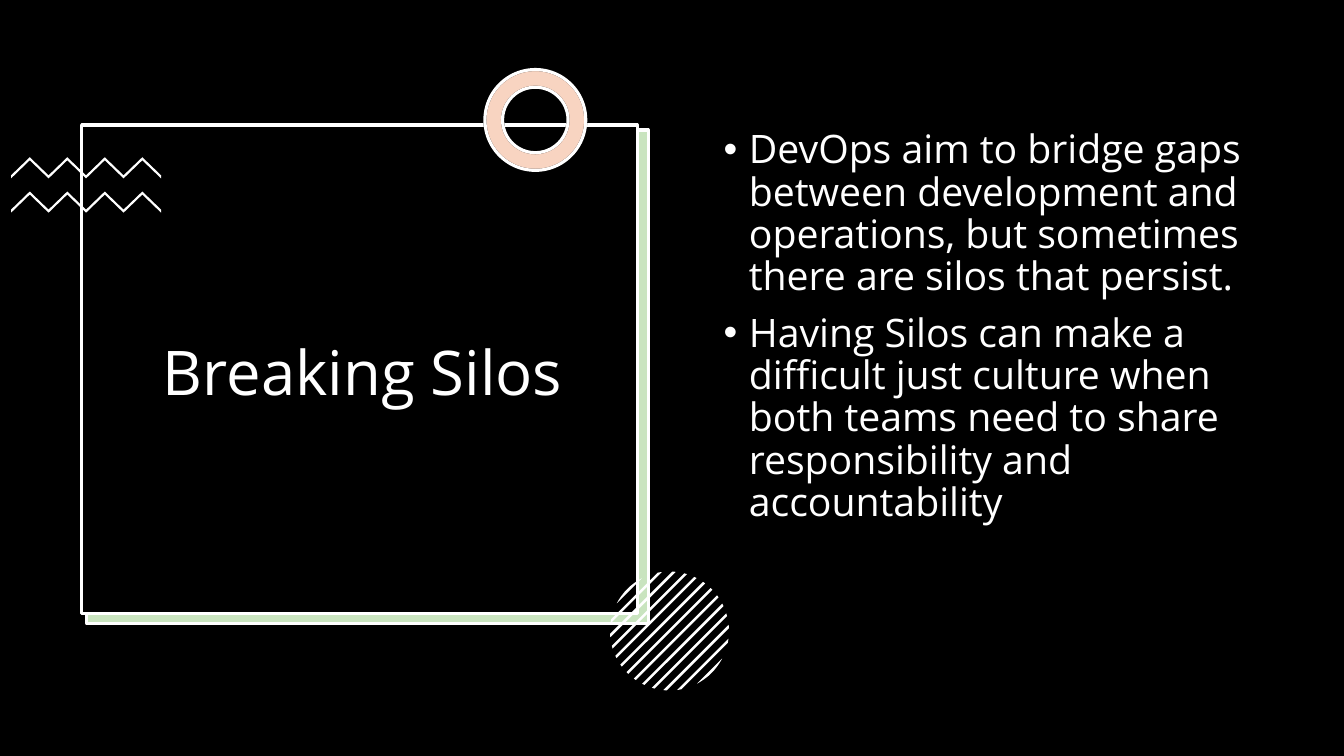
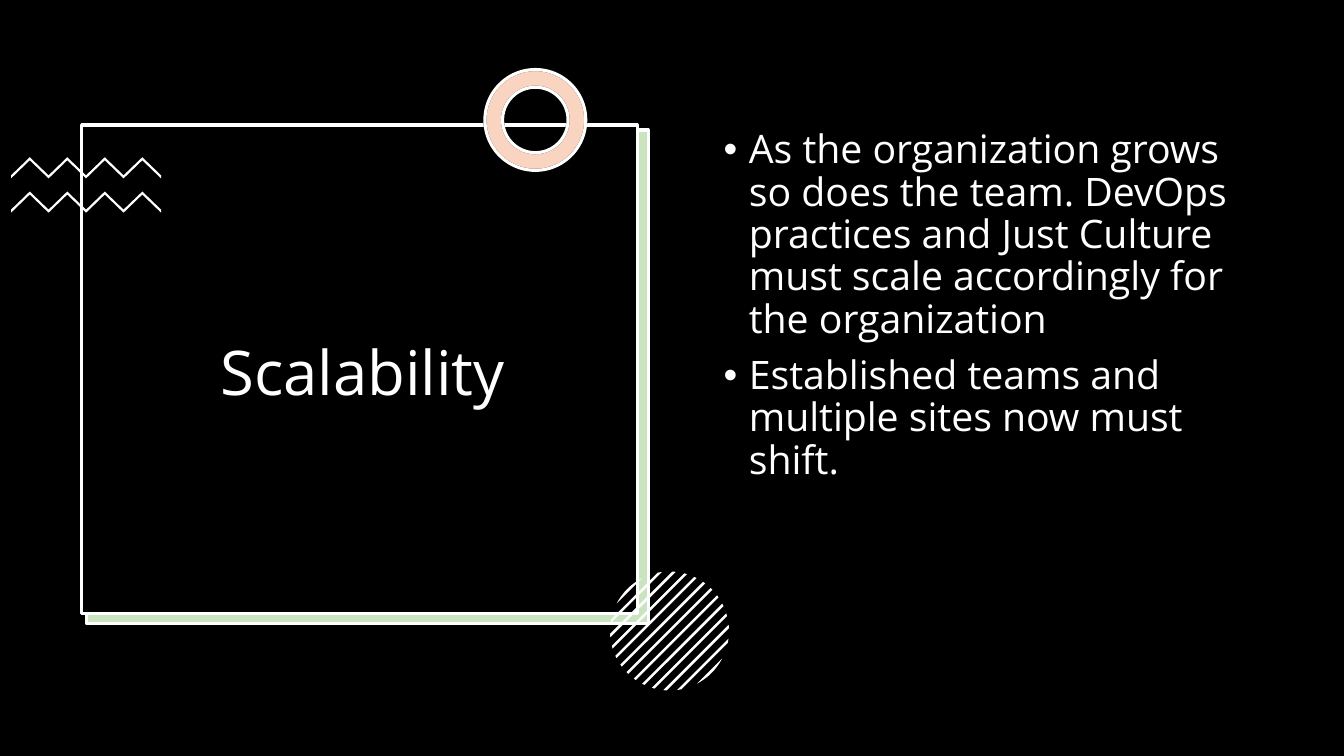
"""Build two black lesson slides with a framed title and a bulleted text."""
import dataclasses
import math
import typing

import lxml.etree
import pptx
import pptx.dml.color
import pptx.enum.shapes
import pptx.enum.text
import pptx.oxml.ns
import pptx.shapes.autoshape
import pptx.shapes.shapetree
import pptx.slide
import pptx.text.text
import pptx.util

EMU_PER_PX = 9144
SHAPE = pptx.enum.shapes.MSO_SHAPE

Point = tuple[float, float]


@dataclasses.dataclass(frozen=True)
class Theme:
    black: str = "000000"
    white: str = "FFFFFF"
    green: str = "4EA72E"
    orange: str = "E97132"
    font: str = "Open Sans"
    title_size: int = 44
    body_size: int = 28
    line_width: float = 2.25
    tint: int = 30
    line_spacing: float = 0.9
    space_before: int = 10


class Box(typing.NamedTuple):
    left: int
    top: int
    width: int
    height: int


class Panel(typing.NamedTuple):
    kind: pptx.enum.shapes.MSO_SHAPE
    box: Box
    fill: str
    line: str | None = None
    opacity: int = 100


class Lesson(typing.NamedTuple):
    title: str
    points: tuple[str, ...]


THEME = Theme()
PAGE_WIDTH, PAGE_HEIGHT = 1333, 750
TITLE_BOX = Box(92, 152, 536, 442)
BODY_BOX = Box(708, 124, 544, 476)
BULLET_INDENT = 25
RING_BOX = Box(481, 69, 100, 100)
RING_THICKNESS = 0.175

FRAME = (
    Panel(SHAPE.RECTANGLE, Box(85, 130, 557, 490), THEME.white),
    Panel(SHAPE.RECTANGLE, Box(86, 129, 557, 490), THEME.green, THEME.white, THEME.tint),
    Panel(SHAPE.RECTANGLE, Box(81, 124, 551, 485), THEME.black, THEME.white),
)
RING = (
    Panel(SHAPE.DONUT, RING_BOX, THEME.white, THEME.black),
    Panel(SHAPE.DONUT, RING_BOX, THEME.orange, THEME.white, THEME.tint),
)

ZIGZAG_LEFT, ZIGZAG_TOPS = 11, (156, 190)
ZIGZAG_STEP, ZIGZAG_STEPS = 18.6, 8
ZIGZAG_RISE, ZIGZAG_THICKNESS = 18, 3

DISC_CENTRE: Point = (664, 626)
DISC_RADIUS = 59
STRIPES_EACH_SIDE = 6
STRIPE_PITCH, STRIPE_THICKNESS = 9.6, 2.5
ARC_STEPS = 4

LESSONS = (
    Lesson("Breaking Silos", (
        "DevOps aim to bridge gaps between development and operations, "
        "but sometimes there are silos that persist.",
        "Having Silos can make a difficult just culture when both teams "
        "need to share responsibility and accountability",
    )),
    Lesson("Scalability", (
        "As the organization grows so does the team. DevOps practices and "
        "Just Culture must scale accordingly for the organization",
        "Established teams and multiple sites now must shift.",
    )),
)


def emu(px: float) -> int:
    return round(px * EMU_PER_PX)


def rgb(colour: str) -> pptx.dml.color.RGBColor:
    return pptx.dml.color.RGBColor.from_string(colour)


def paint(shape: pptx.shapes.autoshape.Shape, fill: str,
          line: str | None = None, opacity: int = 100) -> None:
    shape.shadow.inherit = False
    shape.fill.solid()
    shape.fill.fore_color.rgb = rgb(fill)
    if opacity < 100:
        colour = shape.element.spPr.find(
            f"{pptx.oxml.ns.qn('a:solidFill')}/{pptx.oxml.ns.qn('a:srgbClr')}")
        lxml.etree.SubElement(colour, pptx.oxml.ns.qn("a:alpha"), val=str(opacity * 1000))
    if line is None:
        shape.line.fill.background()
    else:
        shape.line.color.rgb = rgb(line)
        shape.line.width = pptx.util.Pt(THEME.line_width)


def add_panel(page: pptx.slide.Slide, panel: Panel) -> None:
    shape = page.shapes.add_shape(panel.kind, *map(emu, panel.box))
    if panel.kind == SHAPE.DONUT:
        shape.adjustments[0] = RING_THICKNESS
    paint(shape, panel.fill, panel.line, panel.opacity)


def add_outline(shapes: pptx.shapes.shapetree.GroupShapes, points: list[Point]) -> None:
    start, *rest = [(emu(x), emu(y)) for x, y in points]
    builder = shapes.build_freeform(*start)
    builder.add_line_segments(rest, close=True)
    paint(builder.convert_to_shape(), THEME.white)


def zigzag(top: int) -> list[Point]:
    upper = [(ZIGZAG_LEFT + step * ZIGZAG_STEP, top + ZIGZAG_RISE * (1 - step % 2))
             for step in range(ZIGZAG_STEPS + 1)]
    return upper + [(x, y + ZIGZAG_THICKNESS) for x, y in reversed(upper)]


def stripe(number: int) -> list[Point]:
    first = number * STRIPE_PITCH - STRIPE_THICKNESS / 2
    offsets = [first + STRIPE_THICKNESS * step / ARC_STEPS for step in range(ARC_STEPS + 1)]
    ends = [(offset, math.sqrt(DISC_RADIUS ** 2 - offset ** 2)) for offset in offsets]
    turned = ends + [(offset, -reach) for offset, reach in reversed(ends)]
    centre_x, centre_y = DISC_CENTRE
    return [(centre_x + (offset + reach) / math.sqrt(2),
             centre_y + (offset - reach) / math.sqrt(2)) for offset, reach in turned]


def add_group(page: pptx.slide.Slide, outlines: list[list[Point]]) -> None:
    group = page.shapes.add_group_shape()
    for points in outlines:
        add_outline(group.shapes, points)


def write(para: pptx.text.text._Paragraph, text: str, size: int) -> None:
    para.line_spacing = THEME.line_spacing
    span = para.add_run()
    span.text = text
    span.font.name = THEME.font
    span.font.size = pptx.util.Pt(size)
    span.font.color.rgb = rgb(THEME.white)


def add_bullet(para: pptx.text.text._Paragraph) -> None:
    properties = para._p.get_or_add_pPr()
    properties.set("marL", str(emu(BULLET_INDENT)))
    properties.set("indent", str(-emu(BULLET_INDENT)))
    lxml.etree.SubElement(properties, pptx.oxml.ns.qn("a:buFont"), typeface="Arial")
    lxml.etree.SubElement(properties, pptx.oxml.ns.qn("a:buChar"), char="•")


def set_title(page: pptx.slide.Slide, text: str) -> None:
    title = page.shapes.title
    title.left, title.top, title.width, title.height = map(emu, TITLE_BOX)
    frame = title.text_frame
    frame.word_wrap = True
    frame.auto_size = pptx.enum.text.MSO_AUTO_SIZE.NONE
    frame.vertical_anchor = pptx.enum.text.MSO_ANCHOR.MIDDLE
    para = frame.paragraphs[0]
    para.alignment = pptx.enum.text.PP_ALIGN.CENTER
    write(para, text, THEME.title_size)
    title.element.getparent().append(title.element)


def add_body(page: pptx.slide.Slide, points: tuple[str, ...]) -> None:
    frame = page.shapes.add_textbox(*map(emu, BODY_BOX)).text_frame
    frame.word_wrap = True
    for index, point in enumerate(points):
        para = frame.add_paragraph() if index else frame.paragraphs[0]
        para.space_before = pptx.util.Pt(THEME.space_before)
        write(para, point, THEME.body_size)
        add_bullet(para)


def add_lesson(deck: pptx.presentation.Presentation, lesson: Lesson) -> None:
    page = deck.slides.add_slide(deck.slide_layouts.get_by_name("Title Only"))
    for panel in FRAME:
        add_panel(page, panel)
    add_group(page, [zigzag(top) for top in ZIGZAG_TOPS])
    for panel in RING:
        add_panel(page, panel)
    add_group(page, [stripe(number) for number in
                     range(-STRIPES_EACH_SIDE, STRIPES_EACH_SIDE + 1)])
    set_title(page, lesson.title)
    add_body(page, lesson.points)


def main() -> None:
    deck = pptx.Presentation()
    deck.slide_width, deck.slide_height = emu(PAGE_WIDTH), emu(PAGE_HEIGHT)
    background = deck.slide_master.background.fill
    background.solid()
    background.fore_color.rgb = rgb(THEME.black)
    for lesson in LESSONS:
        add_lesson(deck, lesson)
    deck.save("out.pptx")


if __name__ == "__main__":
    main()
